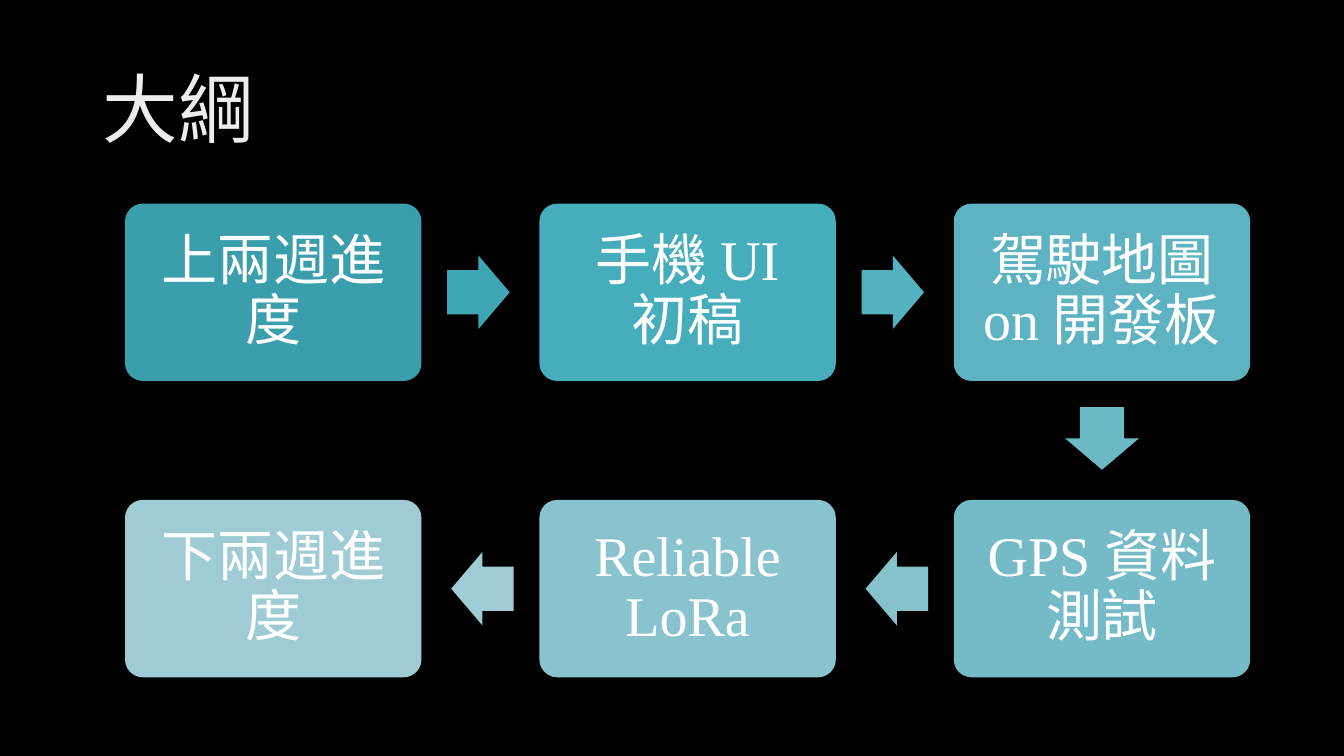
import pptx
import pptx.dml.color
import pptx.enum.shapes
import pptx.enum.text
import pptx.oxml
import pptx.oxml.ns
import pptx.util

FONT = "Times New Roman"
SHAPES = pptx.enum.shapes.MSO_SHAPE
ALIGN = pptx.enum.text.PP_ALIGN
inches = pptx.util.Inches

# Flow grid: left, top, box size and the step from one box to the next
LEFT, TOP = 1.24, 2.02
BOX_WIDTH, BOX_HEIGHT = 2.94, 1.76
STEP_X, STEP_Y = 4.11, 2.94
ARROW_LENGTH, ARROW_BREADTH = 0.62, 0.73
ARROW_SETBACK = 0.02  # arrows sit slightly nearer to the box they leave

# Column, row, label, box colour, colour of the arrow to the next box
STEPS = [
    (0, 0, "上兩週進度", "3B9EAC", "3EA6B5"),
    (1, 0, "手機 UI 初稿", "46ADBC", "53B1C0"),
    (2, 0, "駕駛地圖on 開發板", "5DB3C1", "6CB9C6"),
    (2, 1, "GPS 資料測試", "74BBC7", "85C2CC"),
    (1, 1, "Reliable LoRa", "89C3CD", "9ECBD4"),
    (0, 1, "下兩週進度", "9ECBD4", None),
]
# Rotation of an arrow by its direction in columns and rows
ROTATIONS = {(1, 0): 0, (0, 1): 90, (-1, 0): 180}


def paint(fill, color):
    fill.solid()
    fill.fore_color.rgb = pptx.dml.color.RGBColor.from_string(color)


def add_text(frame, text, size, align):
    """Write one line of text and return its run."""
    frame.word_wrap = True
    frame.auto_size = pptx.enum.text.MSO_AUTO_SIZE.NONE
    frame.vertical_anchor = pptx.enum.text.MSO_ANCHOR.MIDDLE
    para = frame.paragraphs[0]
    para.alignment = align
    para.line_spacing = 0.9
    span = para.add_run()
    span.text = text
    span.font.size = pptx.util.Pt(size)
    span.font.name = FONT
    return span


def add_title(page, text, left, top, width, height):
    title = page.shapes.title
    title.left, title.top = inches(left), inches(top)
    title.width, title.height = inches(width), inches(height)
    span = add_text(title.text_frame, text, 54, ALIGN.LEFT)
    # Gradient from grey to white
    stops = "".join(
        f'<a:gs pos="{share * 1000}"><a:srgbClr val="{color}"/></a:gs>'
        for share, color in [(0, "BFBFBF"), (28, "EDEDED"), (100, "FFFFFF")])
    gradient = pptx.oxml.parse_xml(
        f'<a:gradFill {pptx.oxml.ns.nsdecls("a")}><a:gsLst>{stops}</a:gsLst>'
        f'<a:lin ang="{80 * 60000}" scaled="0"/></a:gradFill>')
    span.font._element.insert(0, gradient)


def add_block(page, kind, center_x, center_y, width, height, color, adjustments):
    """Draw a plain filled shape around its centre."""
    block = page.shapes.add_shape(
        kind, inches(center_x - width / 2), inches(center_y - height / 2),
        inches(width), inches(height))
    block.shadow.inherit = False
    paint(block.fill, color)
    block.line.fill.background()
    for index, value in enumerate(adjustments):
        block.adjustments[index] = value
    return block


def add_step(page, label, center_x, center_y, color):
    box = add_block(page, SHAPES.ROUNDED_RECTANGLE, center_x, center_y,
                    BOX_WIDTH, BOX_HEIGHT, color, [0.1])
    frame = box.text_frame
    frame.margin_left = frame.margin_right = inches(0.17)
    frame.margin_top = frame.margin_bottom = inches(0.17)
    span = add_text(frame, label, 40, ALIGN.CENTER)
    paint(span.font.fill, "FFFFFF")


def add_flow(page, left, top):
    """Place the steps on the grid, each with an arrow to the next."""
    for index, (column, row, label, box_color, arrow_color) in enumerate(STEPS):
        center_x = left + column * STEP_X + BOX_WIDTH / 2
        center_y = top + row * STEP_Y + BOX_HEIGHT / 2
        add_step(page, label, center_x, center_y, box_color)
        if arrow_color is None:
            continue
        next_column, next_row = STEPS[index + 1][:2]
        across, down = next_column - column, next_row - row
        arrow = add_block(
            page, SHAPES.RIGHT_ARROW,
            center_x + across * (STEP_X / 2 - ARROW_SETBACK),
            center_y + down * (STEP_Y / 2 - ARROW_SETBACK),
            ARROW_LENGTH, ARROW_BREADTH, arrow_color, [0.6, 0.5])
        arrow.rotation = ROTATIONS[across, down]


def main():
    deck = pptx.Presentation()
    deck.slide_width, deck.slide_height = inches(13.33), inches(7.5)
    page = deck.slides.add_slide(deck.slide_layouts[5])  # title only
    paint(page.background.fill, "000000")
    add_title(page, "大綱", 0.92, 0.4, 11.5, 1.45)
    add_flow(page, LEFT, TOP)
    deck.save("out.pptx")


if __name__ == "__main__":
    main()
